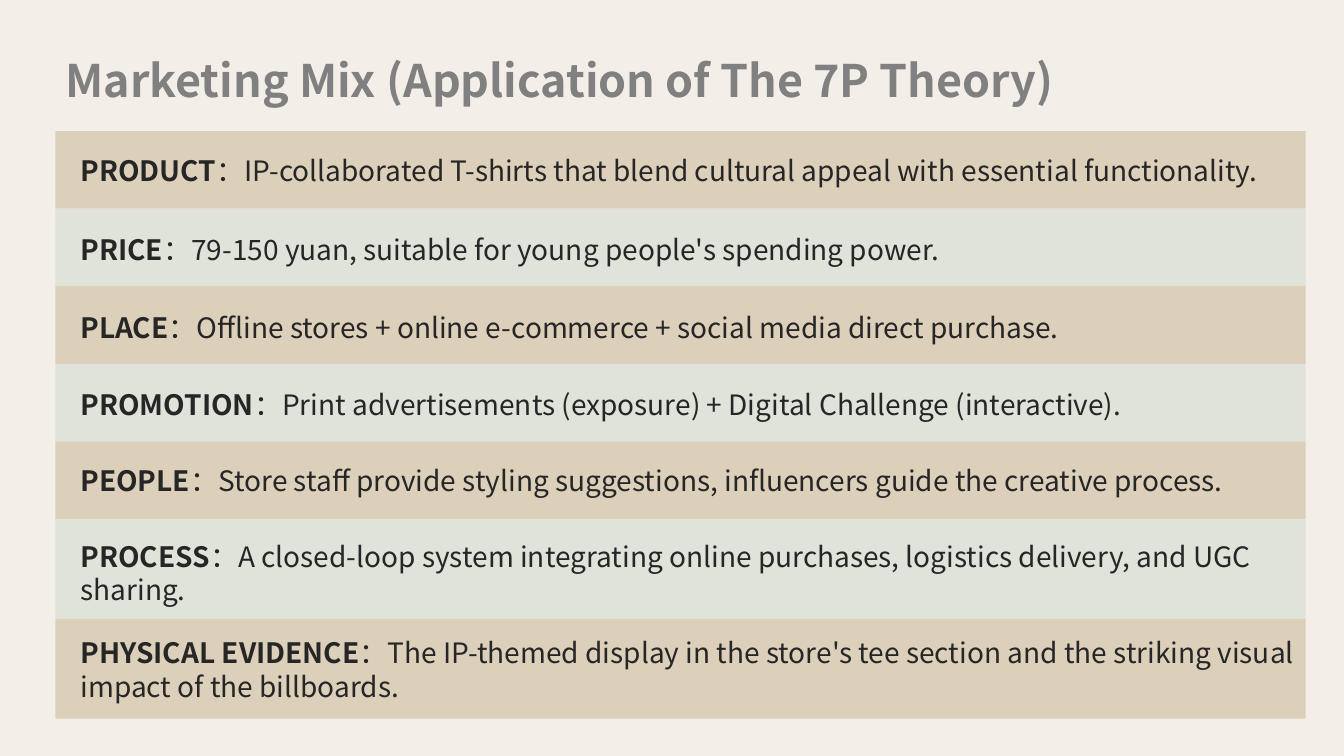
import pptx
import pptx.dml.color
import pptx.enum.shapes
import pptx.enum.text
import pptx.util
from lxml import etree

RGBColor = pptx.dml.color.RGBColor
CREAM = RGBColor(0xF3, 0xEF, 0xE8)
SAND = RGBColor(0xDC, 0xD0, 0xBB)
SAGE = RGBColor(0xDF, 0xE3, 0xDA)
GREY = RGBColor(0x80, 0x80, 0x80)
INK = RGBColor(0x26, 0x26, 0x26)

WIDTH, HEIGHT = 13.33, 7.5
COLS, ROWS = 1333, 750  # fine grid, one cell is a hundredth of an inch

LEFT, TOP, BAND_WIDTH = 55, 130, 1240
TEXT_LEFT, TEXT_WIDTH = 70, 1224

# Label, description, band rows, text inset rows, text rows
SEVEN_PS = [
    ("PRODUCT", "IP-collaborated T-shirts that blend cultural appeal "
     "with essential functionality.", 77, 17, 44),
    ("PRICE", "79-150 yuan, suitable for young people's spending power.",
     77, 19, 44),
    ("PLACE", "Offline stores + online e-commerce + social media direct "
     "purchase.", 77, 19, 44),
    ("PROMOTION", "Print advertisements (exposure) + Digital Challenge "
     "(interactive).", 77, 19, 44),
    ("PEOPLE", "Store staff provide styling suggestions, influencers guide "
     "the creative process.", 77, 17, 44),
    ("PROCESS", "A closed-loop system integrating online purchases, "
     "logistics delivery, and UGC sharing.", 99, 15, 78),
    ("PHYSICAL EVIDENCE", "The IP-themed display in the store's tee section "
     "and the striking visual impact of the billboards.", 99, 12, 76),
]


class SlideBuilder:
    font = "Noto Sans CJK SC"

    def __init__(self, prs):
        self.prs = prs
        self.s = prs.slides.add_slide(prs.slide_layouts[6])

    def background(self, color):
        fill = self.s.background.fill
        fill.solid()
        fill.fore_color.rgb = color

    def place(self, col, row, cols, rows):
        """Turn grid columns and rows into lengths on the slide."""
        w, h = self.prs.slide_width, self.prs.slide_height
        return (round(w * col / COLS), round(h * row / ROWS),
                round(w * cols / COLS), round(h * rows / ROWS))

    def band(self, cell, color):
        sp = self.s.shapes.add_shape(
            pptx.enum.shapes.MSO_SHAPE.RECTANGLE, *self.place(*cell))
        sp.shadow.inherit = False
        sp.fill.solid()
        sp.fill.fore_color.rgb = color
        sp.line.fill.background()

    def text(self, cell, parts, size, color):
        """Add a text box from (wording, bold) parts."""
        tf = self.s.shapes.add_textbox(*self.place(*cell)).text_frame
        tf.word_wrap = True
        tf.auto_size = pptx.enum.text.MSO_AUTO_SIZE.NONE
        p = tf.paragraphs[0]
        for wording, bold in parts:
            r = p.add_run()
            r.text = wording
            r.font.size = pptx.util.Pt(size)
            r.font.bold = bold
            r.font.color.rgb = color
            r.font.name = self.font
            # The full-width colon takes the East Asian font
            ea = etree.SubElement(r.font._element, pptx.oxml.ns.qn("a:ea"))
            ea.set("typeface", self.font)


def main():
    prs = pptx.Presentation()
    prs.slide_width = pptx.util.Inches(WIDTH)
    prs.slide_height = pptx.util.Inches(HEIGHT)
    slide = SlideBuilder(prs)
    slide.background(CREAM)

    # Title
    slide.text((LEFT, 47, 1239, 64),
               [("Marketing Mix (Application of The 7P Theory)", True)],
               32, GREY)

    # Stacked bands in alternating colours
    row = TOP
    for i, (label, detail, rows, inset, text_rows) in enumerate(SEVEN_PS):
        slide.band((LEFT, row, BAND_WIDTH, rows), (SAND, SAGE)[i % 2])
        slide.text((TEXT_LEFT, row + inset, TEXT_WIDTH, text_rows),
                   [(label, True), ("：" + detail, False)], 20, INK)
        row += rows

    prs.save("out.pptx")


if __name__ == "__main__":
    main()
